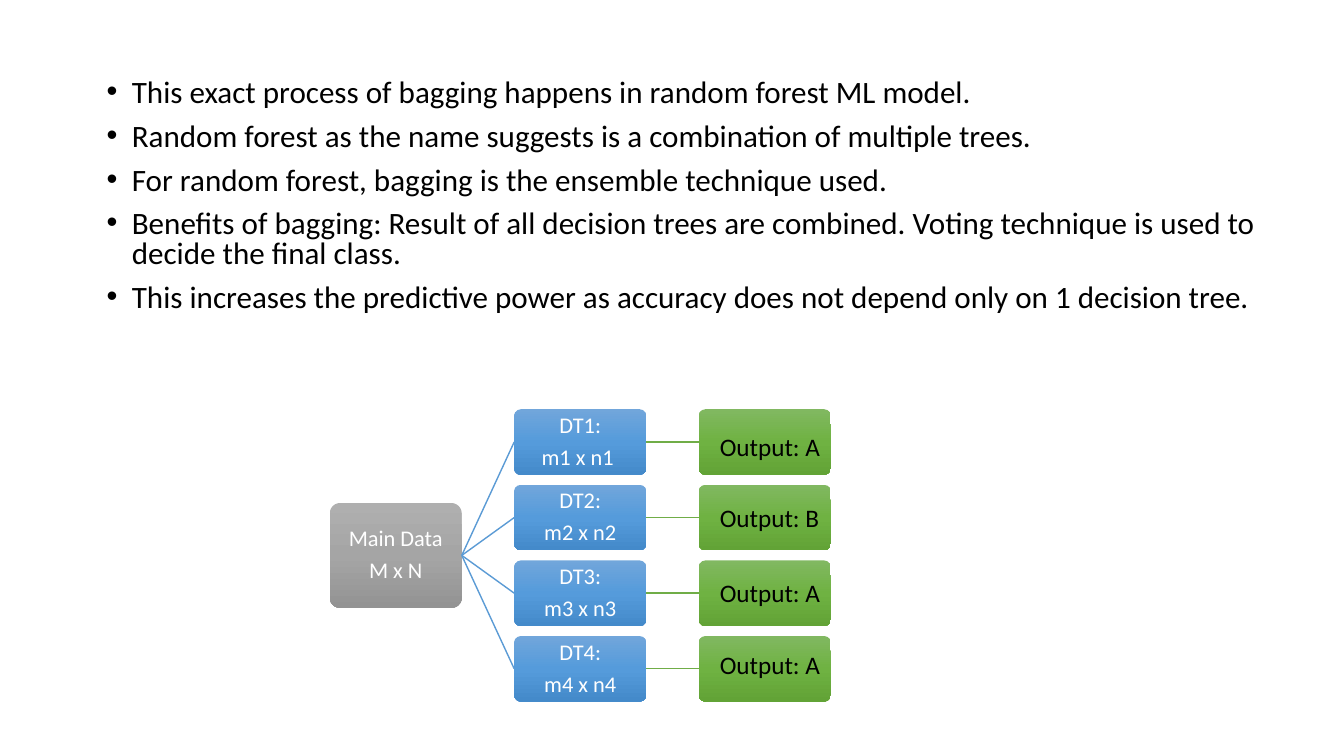
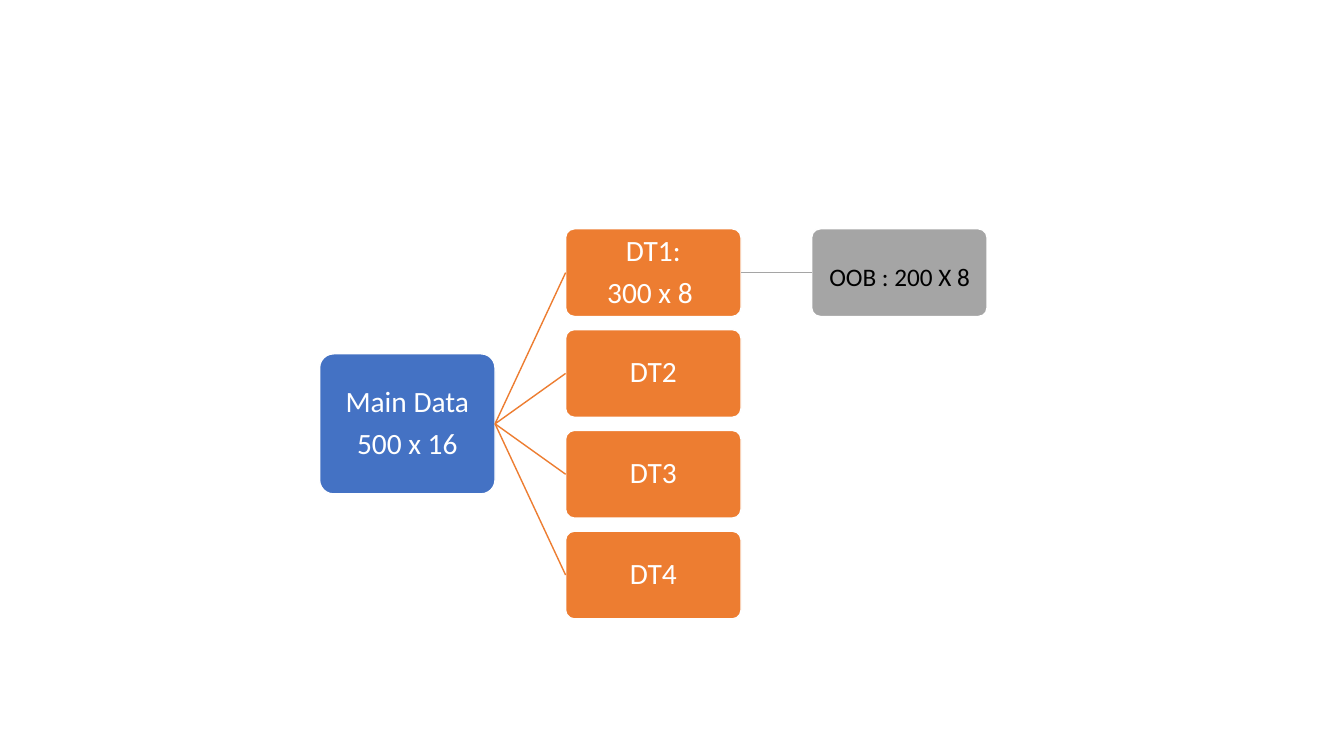
from copy import deepcopy
from dataclasses import dataclass

from lxml.etree import SubElement
from pptx import Presentation
from pptx.dml.color import RGBColor
from pptx.enum.shapes import MSO_CONNECTOR, MSO_SHAPE
from pptx.enum.text import MSO_ANCHOR, PP_ALIGN
from pptx.oxml.ns import qn
from pptx.util import Emu, Pt

EMU_PER_PX = 9144


@dataclass(frozen=True)
class Theme:
    font: str = "Calibri"
    dark: str = "000000"
    light: str = "FFFFFF"
    blue: str = "4472C4"
    orange: str = "ED7D31"
    gray: str = "A5A5A5"
    sky: str = "5B9BD5"
    green: str = "70AD47"
    gray_shades: tuple = ("AFAFAF", "A5A5A5", "939393")
    sky_shades: tuple = ("71A6DB", "559BDB", "448ACA")
    green_shades: tuple = ("81B861", "6FB242", "62A336")
    body_size: float = 22.2
    label_size: int = 18
    small_node_size: int = 16
    large_node_size: int = 21
    line_width: int = 1


@dataclass(frozen=True)
class Tree:
    left: int
    top: int
    box_width: int
    box_height: int
    root_height: int
    column_step: int
    row_step: int
    text_size: int
    label_inset: int
    root_fill: object
    branch_fill: object
    label_fill: object
    branch_line: str
    label_line: str


THEME = Theme()

BULLETS = [
    "This exact process of bagging happens in random forest ML model.",
    "Random forest as the name suggests is a combination of multiple trees.",
    "For random forest, bagging is the ensemble technique used.",
    "Benefits of bagging: Result of all decision trees are combined. "
    "Voting technique is used to decide the final class.",
    "This increases the predictive power as accuracy does not depend only on 1 decision tree.",
]

VOTING_TREE = Tree(
    left=327, top=406, box_width=131, box_height=65, root_height=104,
    column_step=183, row_step=75, text_size=THEME.small_node_size, label_inset=19,
    root_fill=THEME.gray_shades, branch_fill=THEME.sky_shades,
    label_fill=THEME.green_shades, branch_line=THEME.sky, label_line=THEME.green,
)
VOTING_BRANCHES = [
    ["DT1:", "m1 x n1 "], ["DT2:", "m2 x n2"], ["DT3:", "m3 x n3"], ["DT4:", "m4 x n4"],
]
VOTING_LABELS = [("Output: A", 20), ("Output: B", 15), ("Output: A", 15), ("Output: A", 11)]

SAMPLING_TREE = Tree(
    left=317, top=227, box_width=174, box_height=87, root_height=139,
    column_step=244, row_step=100, text_size=THEME.large_node_size, label_inset=15,
    root_fill=THEME.blue, branch_fill=THEME.orange,
    label_fill=THEME.gray, branch_line=THEME.orange, label_line=THEME.gray,
)
SAMPLING_BRANCHES = [["DT1:", "300 x 8 "], ["DT2"], ["DT3"], ["DT4"]]
SAMPLING_LABELS = [("OOB : 200 X 8", 30)]


def px(length):
    return Emu(length * EMU_PER_PX)


def color(value):
    return RGBColor.from_string(value)


def write_text(shape, lines, size, text_color, insets, anchor=MSO_ANCHOR.TOP,
               alignment=PP_ALIGN.LEFT, line_spacing=1.0, gap=0):
    frame = shape.text_frame
    frame.word_wrap = True
    frame.vertical_anchor = anchor
    frame.margin_left, frame.margin_top, frame.margin_right, frame.margin_bottom = map(px, insets)
    frame.text = "\n".join(lines)
    for index, paragraph in enumerate(frame.paragraphs):
        paragraph.alignment = alignment
        paragraph.line_spacing = line_spacing
        paragraph.space_before = Pt(gap if index else 0)
        for run in paragraph.runs:
            run.font.name = THEME.font
            run.font.size = Pt(size)
            run.font.color.rgb = color(text_color)


def add_bullets(slide, lines, left, top, width, height):
    shape = slide.shapes.add_textbox(*map(px, (left, top, width, height)))
    write_text(shape, lines, THEME.body_size, THEME.dark, (10, 5, 0, 5),
               line_spacing=0.8, gap=10)
    for paragraph in shape.text_frame.paragraphs:
        properties = paragraph._p.get_or_add_pPr()
        properties.set("marL", str(px(25)))
        properties.set("indent", str(px(-25)))
        SubElement(properties, qn("a:buFont"), typeface="Arial")
        SubElement(properties, qn("a:buChar"), char="•")


def fill_gradient(shape, shades):
    shape.fill.gradient()
    shape.fill.gradient_angle = 270
    stop_list = shape._element.spPr.find(qn("a:gradFill")).find(qn("a:gsLst"))
    stop_list.insert(1, deepcopy(stop_list[0]))
    for index, (stop, shade) in enumerate(zip(shape.fill.gradient_stops, shades)):
        stop.position = index / 2
        stop.color.rgb = color(shade)


def add_box(slide, left, top, width, height, fill):
    shape = slide.shapes.add_shape(
        MSO_SHAPE.ROUNDED_RECTANGLE, *map(px, (left, top, width, height)))
    shape.adjustments[0] = 0.1
    shape.shadow.inherit = False
    if isinstance(fill, tuple):
        fill_gradient(shape, fill)
        shape.line.fill.background()
    else:
        shape.fill.solid()
        shape.fill.fore_color.rgb = color(fill)
        shape.line.color.rgb = color(THEME.light)
        shape.line.width = Pt(THEME.line_width)
    return shape


def add_node(slide, lines, left, top, width, height, fill, size):
    shape = add_box(slide, left, top, width, height, fill)
    write_text(shape, lines, size, THEME.light, (3, 3, 3, 3), MSO_ANCHOR.MIDDLE,
               PP_ALIGN.CENTER, line_spacing=0.9, gap=size * 0.35)
    return shape


def join_boxes(slide, source, target, line_color):
    connector = slide.shapes.add_connector(MSO_CONNECTOR.STRAIGHT, 0, 0, 0, 0)
    connector.begin_connect(source, 3)
    connector.end_connect(target, 1)
    connector.line.color.rgb = color(line_color)
    connector.line.width = Pt(THEME.line_width)
    SubElement(connector._element.spPr, qn("a:effectLst"))


def add_tree(slide, tree, root_lines, branches, labels):
    column_height = tree.row_step * (len(branches) - 1) + tree.box_height
    root_top = tree.top + (column_height - tree.root_height) // 2
    root = add_node(slide, root_lines, tree.left, root_top, tree.box_width,
                    tree.root_height, tree.root_fill, tree.text_size)
    nodes = []
    for row, lines in enumerate(branches):
        node = add_node(slide, lines, tree.left + tree.column_step,
                        tree.top + row * tree.row_step, tree.box_width,
                        tree.box_height, tree.branch_fill, tree.text_size)
        join_boxes(slide, root, node, tree.branch_line)
        nodes.append(node)
    for row, (node, (text, inset_top)) in enumerate(zip(nodes, labels)):
        label = add_box(slide, tree.left + 2 * tree.column_step,
                        tree.top + row * tree.row_step, tree.box_width,
                        tree.box_height, tree.label_fill)
        write_text(label, [text], THEME.label_size, THEME.dark,
                   (tree.label_inset, inset_top, 0, 0))
        join_boxes(slide, node, label, tree.label_line)


def add_blank_slide(presentation):
    return presentation.slides.add_slide(presentation.slide_layouts[6])


def main():
    presentation = Presentation()
    presentation.slide_width = px(1333)
    presentation.slide_height = px(750)

    voting_slide = add_blank_slide(presentation)
    add_bullets(voting_slide, BULLETS, 96, 74, 1160, 247)
    add_tree(voting_slide, VOTING_TREE, ["Main Data", "M x N"],
             VOTING_BRANCHES, VOTING_LABELS)

    sampling_slide = add_blank_slide(presentation)
    add_tree(sampling_slide, SAMPLING_TREE, ["Main Data", "500 x 16"],
             SAMPLING_BRANCHES, SAMPLING_LABELS)

    presentation.save("out.pptx")


if __name__ == "__main__":
    main()
